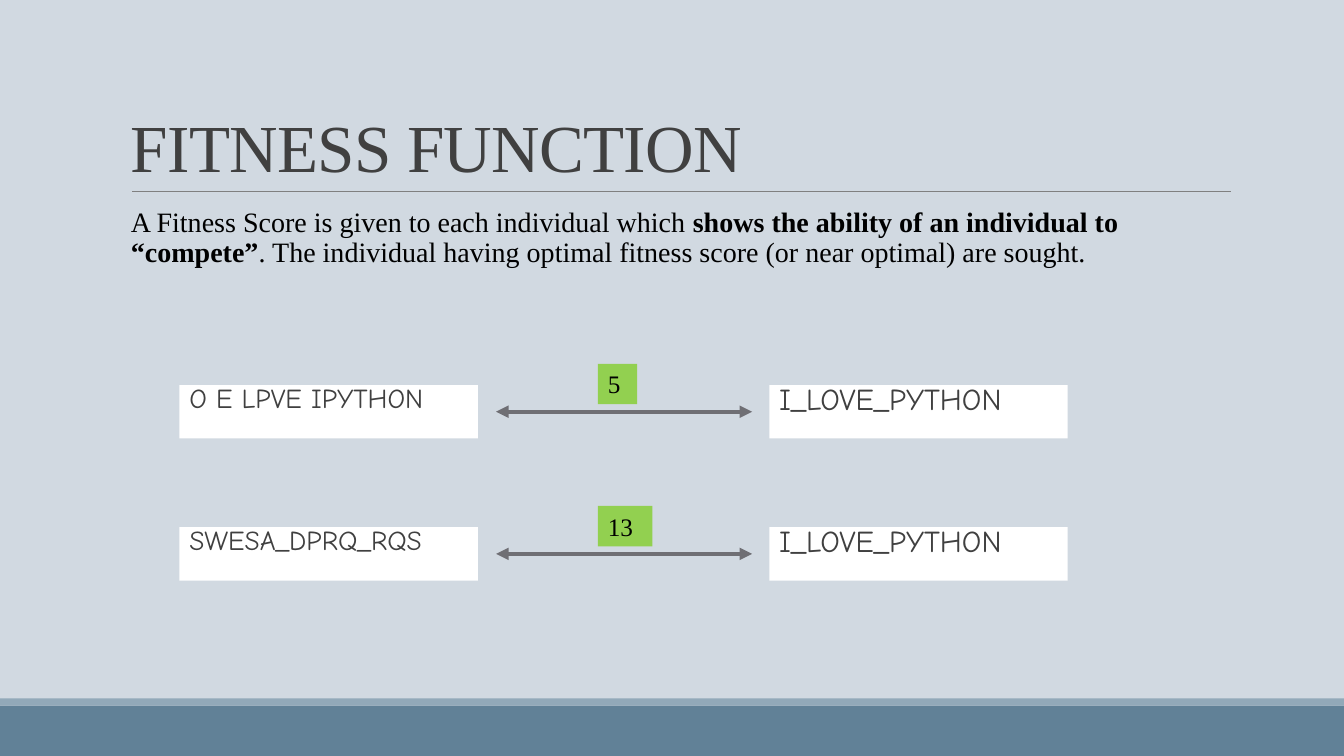
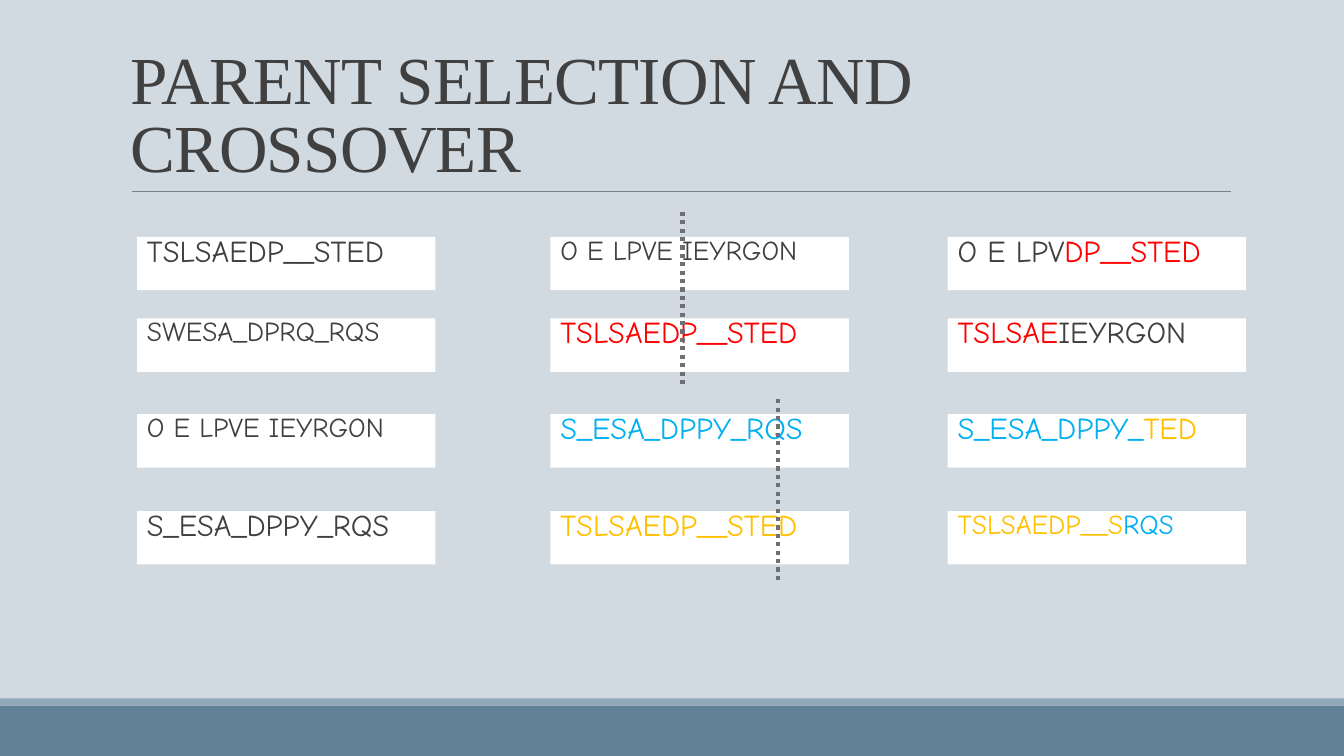
import pptx
import pptx.util
import pptx.dml.color
import pptx.enum.dml
import pptx.enum.shapes
import pptx.enum.text
import pptx.oxml
import pptx.oxml.ns
import lxml.etree

Inches = pptx.util.Inches
Pt = pptx.util.Pt
RGBColor = pptx.dml.color.RGBColor
Anchor = pptx.enum.text.MSO_ANCHOR
Dash = pptx.enum.dml.MSO_LINE
qn = pptx.oxml.ns.qn

# Colours
SKY = RGBColor(0xD1, 0xD9, 0xE1)
STEEL = RGBColor(0x61, 0x81, 0x97)
MIST = RGBColor(0x92, 0xA9, 0xB9)
RULE = RGBColor(0x80, 0x80, 0x80)
GREY = RGBColor(0x6F, 0x6F, 0x74)
DARK = RGBColor(0x40, 0x40, 0x40)
BLACK = RGBColor(0, 0, 0)
WHITE = RGBColor(0xFF, 0xFF, 0xFF)
GREEN = RGBColor(0x92, 0xD0, 0x50)
RED = RGBColor(0xFF, 0, 0)
BLUE = RGBColor(0, 0xB0, 0xF0)
GOLD = RGBColor(0xFF, 0xC0, 0)

# Fonts, sizes and shared measures
SERIF, HAND = "Times New Roman", "Comic Neue"
SMALL, LARGE = 19.6, 21.7
WIDE, HIGH = 13.33, 7.5
GENE_W, GENE_H = 2.96, 0.53


def write(frame, runs, size, font=SERIF, color=BLACK, ratio=1.0, before=0,
          after=0, inset=(0.1, 0.05, 0.1, 0.05), anchor=Anchor.TOP, track=0):
    """Fill a frame with one paragraph; runs are (text, changes) pairs."""
    frame.word_wrap = True
    frame.vertical_anchor = anchor
    (frame.margin_left, frame.margin_top,
     frame.margin_right, frame.margin_bottom) = map(Inches, inset)
    para = frame.paragraphs[0]
    para.alignment = pptx.enum.text.PP_ALIGN.LEFT
    para.line_spacing = ratio
    para.space_before, para.space_after = Pt(before), Pt(after)
    for text, change in runs:
        run = para.add_run()
        run.text = text
        run.font.name, run.font.size = font, Pt(size)
        run.font.bold = change.get("bold", False)
        run.font.color.rgb = change.get("color", color)
        if track:
            run._r.get_or_add_rPr().set("spc", str(round(track * 100)))


def block(slide, box, fill):
    shape = slide.shapes.add_shape(
        pptx.enum.shapes.MSO_SHAPE.RECTANGLE, *map(Inches, box))
    shape.shadow.inherit = False
    shape.fill.solid()
    shape.fill.fore_color.rgb = fill
    shape.line.fill.background()
    return shape


def label(slide, box):
    return slide.shapes.add_textbox(*map(Inches, box)).text_frame


def line(slide, start, end, color=GREY, width=3, dash=None, arrows=False):
    link = slide.shapes.add_connector(
        pptx.enum.shapes.MSO_CONNECTOR.STRAIGHT, *map(Inches, start + end))
    link.line.color.rgb = color
    link.line.width = Pt(width)
    if dash:
        link.line.dash_style = dash
    props = link._element.spPr
    if arrows:
        for tip in ("a:headEnd", "a:tailEnd"):
            lxml.etree.SubElement(props.find(qn("a:ln")), qn(tip),
                                  type="triangle")
    lxml.etree.SubElement(props, qn("a:effectLst"))


def base(deck, title):
    """Add a slide with background, footer bands, title and rule."""
    slide = deck.slides.add_slide(deck.slide_layouts[6])
    slide.background.fill.solid()
    slide.background.fill.fore_color.rgb = SKY
    block(slide, (0, HIGH - 0.5, WIDE, 0.5), STEEL)
    block(slide, (0, HIGH - 0.57, WIDE, 0.07), MIST)
    line(slide, (1.31, 1.9), (12.21, 1.9), RULE, 0.5)
    write(label(slide, (1.2, 0.31, 11, 1.59)), [(title, {})], 48,
          color=DARK, ratio=0.85, anchor=Anchor.BOTTOM, track=-0.5)
    return slide


def gene(slide, left, top, size, *parts):
    """White card whose parts are (text, colour) pairs."""
    card = block(slide, (left, top, GENE_W, GENE_H), WHITE)
    write(card.text_frame, [(text, {"color": hue}) for text, hue in parts],
          size, HAND, ratio=0.7, before=12, after=2,
          inset=(0.1, 0.05, 0, 0.05))


def match(slide, box, guess, score, chip):
    """Guess and target cards joined by a scored arrow."""
    left, top, width, height = box
    right = left + width - GENE_W
    mid = top + height / 2
    gene(slide, left, top, SMALL, (guess, DARK))
    gene(slide, right, top, LARGE, ("I_LOVE_PYTHON", DARK))
    line(slide, (left + GENE_W + 0.18, mid), (right - 0.17, mid), arrows=True)
    badge = block(slide, (left + 4.15, top - 0.21, chip, 0.4), GREEN)
    write(badge.text_frame, [(score, {})], 18)


def column(slide, left, tops, genes):
    for top, (size, *parts) in zip(tops, genes):
        gene(slide, left, top, size, *parts)


def cut(slide, x, top, bottom):
    line(slide, (x, top), (x, bottom), dash=Dash.ROUND_DOT)


def fitness(deck):
    slide = base(deck, "FITNESS FUNCTION")
    write(label(slide, (1.2, 2.02, 11, 4.4)), [
        ("A Fitness Score is given to each individual which\u00a0", {}),
        ("shows the ability of an individual to “compete”", {"bold": True}),
        (". The individual having optimal fitness score (or near optimal) "
         "are sought.", {}),
    ], 20, ratio=0.9, before=12, after=2, inset=(0.1, 0.05, 0, 0.05))
    match(slide, (1.78, 3.82, 8.81, GENE_H), "O E LPVE IPYTHON", "5", 0.39)
    match(slide, (1.78, 5.23, 8.81, GENE_H), "SWESA_DPRQ_RQS", "13", 0.54)


def cross(deck):
    slide = base(deck, "PARENT SELECTION AND CROSSOVER")
    tops = (2.35, 3.16, 4.11, 5.07)
    # Population
    column(slide, 1.36, tops, [
        (LARGE, ("TSLSAEDP__STED", DARK)),
        (SMALL, ("SWESA_DPRQ_RQS", DARK)),
        (SMALL, ("O E LPVE IEYRGON", DARK)),
        (LARGE, ("S_ESA_DPPY_RQS", DARK)),
    ])
    # Parents
    column(slide, 5.46, tops, [
        (SMALL, ("O E LPVE IEYRGON", DARK)),
        (LARGE, ("TSLSAEDP__STED", RED)),
        (LARGE, ("S_ESA_DPPY_RQS", BLUE)),
        (LARGE, ("TSLSAEDP__STED", GOLD)),
    ])
    # Children
    column(slide, 9.4, tops, [
        (LARGE, ("O E LPV", DARK), ("DP__STED", RED)),
        (LARGE, ("TSLSAE", RED), ("IEYRGON", DARK)),
        (LARGE, ("S_ESA_DPPY_", BLUE), ("TED", GOLD)),
        (SMALL, ("TSLSAEDP__S", GOLD), ("RQS", BLUE)),
    ])
    # Crossover points
    cut(slide, 6.77, 2.1, 3.85)
    cut(slide, 7.72, 3.96, 5.77)


deck = pptx.Presentation()
deck.slide_width, deck.slide_height = Inches(WIDE), Inches(HIGH)
fitness(deck)
cross(deck)
deck.save("out.pptx")
